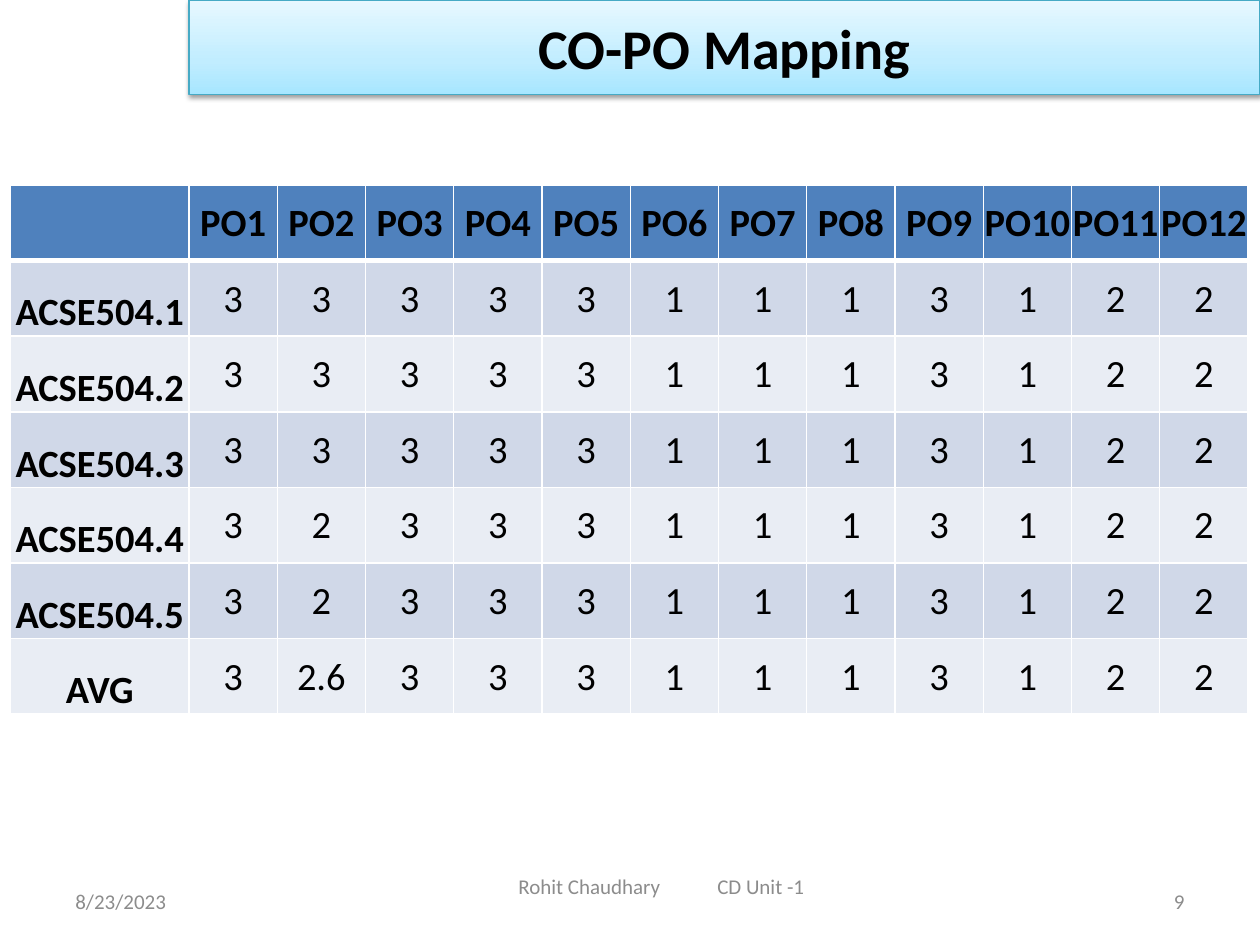
from copy import deepcopy

from lxml.etree import SubElement
from pptx import Presentation
from pptx.dml.color import RGBColor
from pptx.enum.shapes import MSO_SHAPE
from pptx.enum.text import MSO_ANCHOR, PP_ALIGN
from pptx.oxml.ns import qn
from pptx.util import Cm, Pt

FONT = "Calibri"
COLORS = {
    "text": "000000",
    "footer": "8C8C8C",
    "banner_line": "46AAC5",
    "banner_dark": "A7E6FF",
    "banner_middle": "C1EDFF",
    "banner_light": "E7F8FF",
    "header": "4F81BD",
    "odd_row": "D0D8E8",
    "even_row": "E9EDF4",
    "border": "FFFFFF",
}
BANNER_STOPS = [(0, "banner_dark"), (0.35, "banner_middle"), (1, "banner_light")]

OUTCOMES = [f"PO{number}" for number in range(1, 13)]
MAPPING = [
    ("ACSE504.1", "3 3 3 3 3 1 1 1 3 1 2 2"),
    ("ACSE504.2", "3 3 3 3 3 1 1 1 3 1 2 2"),
    ("ACSE504.3", "3 3 3 3 3 1 1 1 3 1 2 2"),
    ("ACSE504.4", "3 2 3 3 3 1 1 1 3 1 2 2"),
    ("ACSE504.5", "3 2 3 3 3 1 1 1 3 1 2 2"),
    ("AVG", "3 2.6 3 3 3 1 1 1 3 1 2 2"),
]


def rgb(name):
    return RGBColor.from_string(COLORS[name])


def style_paragraph(paragraph, size, color="text", bold=False, align=PP_ALIGN.CENTER):
    paragraph.alignment = align
    font = paragraph.font
    font.name, font.size, font.bold = FONT, Pt(size), bold
    font.color.rgb = rgb(color)


def add_banner(slide, left, top, width, height):
    banner = slide.shapes.add_shape(MSO_SHAPE.RECTANGLE, left, top, width, height)
    banner.line.color.rgb = rgb("banner_line")
    banner.line.width = Pt(0.75)

    banner.fill.gradient()
    banner.fill.gradient_angle = 90
    properties = banner._element.spPr
    stop_list = properties.find(f".//{qn('a:gsLst')}")
    stop_list.append(deepcopy(stop_list[-1]))
    for stop, (position, color) in zip(banner.fill.gradient_stops, BANNER_STOPS):
        stop.position = position
        stop.color.rgb = rgb(color)

    banner.shadow.inherit = False
    shadow = SubElement(properties.find(qn("a:effectLst")), qn("a:outerShdw"),
                        blurRad=str(Pt(3.1)), dist=str(Pt(1.6)),
                        dir="5400000", rotWithShape="0")
    shadow_color = SubElement(shadow, qn("a:srgbClr"), val=COLORS["text"])
    SubElement(shadow_color, qn("a:alpha"), val="38000")

    banner.text_frame.vertical_anchor = MSO_ANCHOR.MIDDLE
    paragraph = banner.text_frame.paragraphs[0]
    paragraph.text = "CO-PO Mapping"
    style_paragraph(paragraph, 32, bold=True)


def set_borders(cell, **widths):
    """Draw the cell's L, R, T and B edges, 1 pt wide unless given."""
    properties = cell._tc.get_or_add_tcPr()
    for side in "LRTB":
        line = SubElement(properties, qn(f"a:ln{side}"), w=str(Pt(widths.get(side, 1))))
        fill = SubElement(line, qn("a:solidFill"))
        SubElement(fill, qn("a:srgbClr"), val=COLORS["border"])


def fill_cell(cell, text, row, column):
    is_header, is_label = row == 0, column == 0
    cell.margin_left = cell.margin_right = cell.margin_bottom = 0
    cell.margin_top = Cm(0.02)
    cell.vertical_anchor = (
        MSO_ANCHOR.BOTTOM if is_label and not is_header else MSO_ANCHOR.MIDDLE)
    set_borders(cell, T=3 if row == 1 else 1, B=3 if is_header else 1)
    cell.fill.solid()
    band = "odd_row" if row % 2 else "even_row"
    cell.fill.fore_color.rgb = rgb("header" if is_header else band)
    paragraph = cell.text_frame.paragraphs[0]
    paragraph.text = text
    paragraph.space_after = Pt(6)
    style_paragraph(paragraph, 22, bold=is_header or is_label)


def add_mapping_table(slide, left, top, width, height):
    rows = [["", *OUTCOMES]] + [[label, *values.split()] for label, values in MAPPING]
    table = slide.shapes.add_table(
        len(rows), len(rows[0]), left, top, width, height).table
    label_width = Cm(3.6)
    for column_index, column in enumerate(table.columns):
        column.width = (label_width if column_index == 0
                        else (width - label_width) // len(OUTCOMES))
    for row_index, texts in enumerate(rows):
        for column_index, text in enumerate(texts):
            fill_cell(table.cell(row_index, column_index), text, row_index, column_index)


def add_footer(slide, left, top, width, height):
    """Place the date, the page number, and the author with the unit."""
    side_width = Cm(5.93)
    parts = [
        ("8/23/2023", left, top, side_width, PP_ALIGN.LEFT),
        ("9", left + width - side_width, top, side_width, PP_ALIGN.RIGHT),
        ("Rohit Chaudhary\tCD Unit -1", left + Cm(5.08), top - Cm(0.3),
         Cm(13.97), PP_ALIGN.LEFT),
    ]
    for text, part_left, part_top, part_width, align in parts:
        box = slide.shapes.add_textbox(part_left, part_top, part_width, height)
        frame = box.text_frame
        frame.word_wrap = True
        frame.vertical_anchor = MSO_ANCHOR.MIDDLE
        paragraph = frame.paragraphs[0]
        paragraph.text = text
        if "\t" in text:
            frame.margin_left = Cm(4.1)
            tabs = SubElement(paragraph._p.get_or_add_pPr(), qn("a:tabLst"))
            SubElement(tabs, qn("a:tab"), pos=str(Cm(4.01)), algn="l")
        style_paragraph(paragraph, 12, "footer", align=align)


def main():
    presentation = Presentation()
    presentation.slide_width, presentation.slide_height = Cm(25.4), Cm(19.05)
    slide = presentation.slides.add_slide(presentation.slide_layouts[6])
    add_banner(slide, Cm(3.81), Cm(0), Cm(21.59), Cm(1.9))
    add_mapping_table(slide, Cm(0.21), Cm(3.73), Cm(24.95), Cm(10.67))
    add_footer(slide, Cm(1.27), Cm(17.65), Cm(22.86), Cm(1.02))
    presentation.save("out.pptx")


if __name__ == "__main__":
    main()
